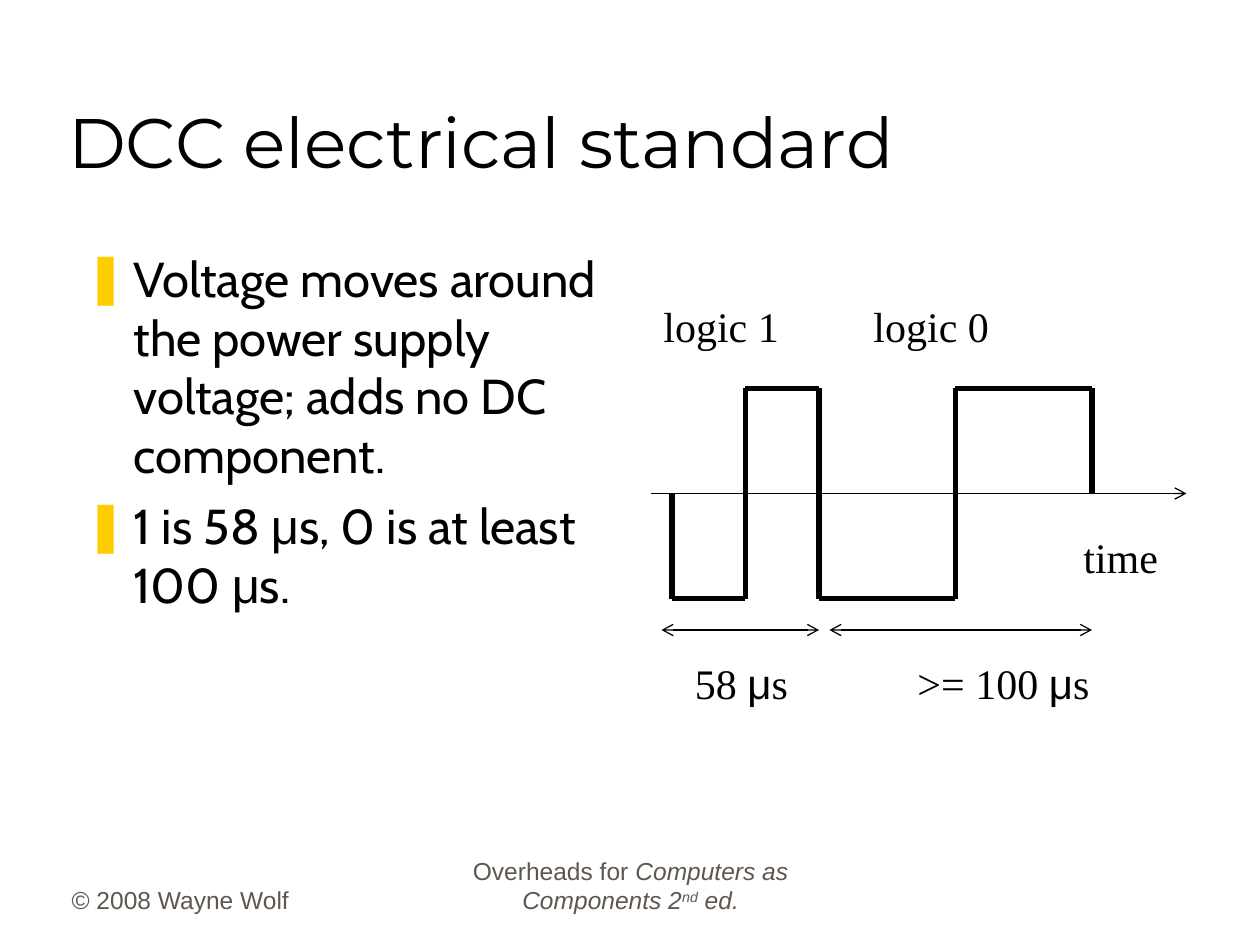
from itertools import pairwise

from lxml import etree
from pptx import Presentation
from pptx.dml.color import RGBColor
from pptx.enum.shapes import MSO_CONNECTOR
from pptx.enum.text import MSO_ANCHOR, MSO_AUTO_SIZE, PP_ALIGN
from pptx.oxml.ns import qn
from pptx.util import Inches, Pt

STRAIGHT = MSO_CONNECTOR.STRAIGHT
TOP, BOTTOM = MSO_ANCHOR.TOP, MSO_ANCHOR.BOTTOM
LEFT, CENTER = PP_ALIGN.LEFT, PP_ALIGN.CENTER
NO_FIT = MSO_AUTO_SIZE.NONE

BLACK, GRAY, GOLD = "000000", "5E574E", "FFCC00"
MU = ("μ", {"font": "Arial"})
TITLE = [["DCC electrical standard"]]
BULLETS = [
    ["Voltage moves around the power supply voltage; adds no DC component."],
    ["1 is 58 ", MU, "s, 0 is at least 100 ", MU, "s."],
]
FOOTERS = [
    ((0.47, 6.81, 2.08, 0.5), LEFT, ["© 2008 Wayne Wolf"]),
    ((3.42, 6.81, 3.17, 0.5), CENTER, [
        "Overheads for ",
        ("Computers as Components 2", {"italic": True}),
        ("nd", {"italic": True, "raised": True}),
        (" ed.", {"italic": True}),
    ]),
]

UNIT = 1 / 12
HIGH, AXIS, LOW, SPAN_ROW = 37, 47, 57, 60
EDGES = [64, 71, 78, 91, 104]
SPANS = [(63, 78), (79, 104)]
AXIS_ENDS = (62, 113)
LABELS = [
    (62, 28, 1.11, ["logic 1"]),
    (82, 28, 1.11, ["logic 0"]),
    (102, 50, 0.79, ["time"]),
    (65, 62, 0.94, ["58 ", MU, "s"]),
    (86.2, 62, 1.56, [">= 100 ", MU, "s"]),
]


def color(value):
    """Return the colour of a hex string."""
    return RGBColor.from_string(value)


def add_bullet(paragraph):
    """Give a paragraph a hanging gold bar as its bullet."""
    properties = paragraph._p.get_or_add_pPr()
    properties.set("marL", str(Inches(0.38)))
    properties.set("indent", str(-Inches(0.38)))
    bullet_color = etree.SubElement(properties, qn("a:buClr"))
    etree.SubElement(bullet_color, qn("a:srgbClr"), val=GOLD)
    etree.SubElement(properties, qn("a:buChar"), char="❚")


def write(shape, paragraphs, box, font, size, fill=BLACK, anchor=TOP,
          align=LEFT, wrap=True, bullets=False, gap=0):
    """Place a text shape and fill it with formatted paragraphs."""
    shape.left, shape.top, shape.width, shape.height = map(Inches, box)
    frame = shape.text_frame
    frame.word_wrap, frame.auto_size = wrap, NO_FIT
    frame.vertical_anchor = anchor
    for index, runs in enumerate(paragraphs):
        paragraph = frame.add_paragraph() if index else frame.paragraphs[0]
        if bullets:
            add_bullet(paragraph)
        paragraph.alignment = align
        paragraph.space_before = Pt(gap if index else 0)
        for item in runs:
            text, style = (item, {}) if isinstance(item, str) else item
            run = paragraph.add_run()
            run.text = text
            run.font.name = style.get("font", font)
            run.font.size = Pt(size)
            run.font.italic = style.get("italic", False)
            run.font.color.rgb = color(fill)
            if style.get("raised"):
                run.font._element.set("baseline", "30000")


def add_line(slide, start, end, width, arrows=()):
    """Draw a line between two grid points, with optional arrowheads."""
    points = [Inches(value * UNIT) for value in (*start, *end)]
    line = slide.shapes.add_connector(STRAIGHT, *points)
    line.line.color.rgb = color(BLACK)
    line.line.width = Pt(width)
    for arrow in arrows:
        etree.SubElement(line.line._get_or_add_ln(), qn(f"a:{arrow}"), type="arrow")
    etree.SubElement(line._element.spPr, qn("a:effectLst"))


def wave_points():
    """Return the corners and axis crossings of the square wave."""
    points = [(EDGES[0], AXIS)]
    for index, (left, right) in enumerate(pairwise(EDGES)):
        level = HIGH if index % 2 else LOW
        points += [(left, level), (right, level), (right, AXIS)]
    return points


def main():
    """Build the slide and save it."""
    presentation = Presentation()
    presentation.slide_width, presentation.slide_height = Inches(10), Inches(7.5)
    slide = presentation.slides.add_slide(presentation.slide_layouts[1])
    write(slide.shapes.title, TITLE, (0.44, 0.25, 8.5, 1.25), "Montserrat", 40,
          anchor=BOTTOM)
    write(slide.placeholders[1], BULLETS, (0.58, 1.92, 4.39, 4.56), "Cabin", 28,
          bullets=True, gap=7)
    for box, align, runs in FOOTERS:
        write(slide.shapes.add_textbox(0, 0, 0, 0), [runs], box, "Arial", 14,
              fill=GRAY, anchor=BOTTOM, align=align)

    add_line(slide, (AXIS_ENDS[0], AXIS), (AXIS_ENDS[1], AXIS), 0.75, ["tailEnd"])
    for start, end in pairwise(wave_points()):
        add_line(slide, start, end, 3)
    for left, right in SPANS:
        add_line(slide, (left, SPAN_ROW), (right, SPAN_ROW), 0.75,
                 ["headEnd", "tailEnd"])
    for column, row, width, runs in LABELS:
        write(slide.shapes.add_textbox(0, 0, 0, 0), [runs],
              (column * UNIT, row * UNIT, width, 0.5), "Times New Roman", 24,
              wrap=False)
    presentation.save("out.pptx")


if __name__ == "__main__":
    main()
